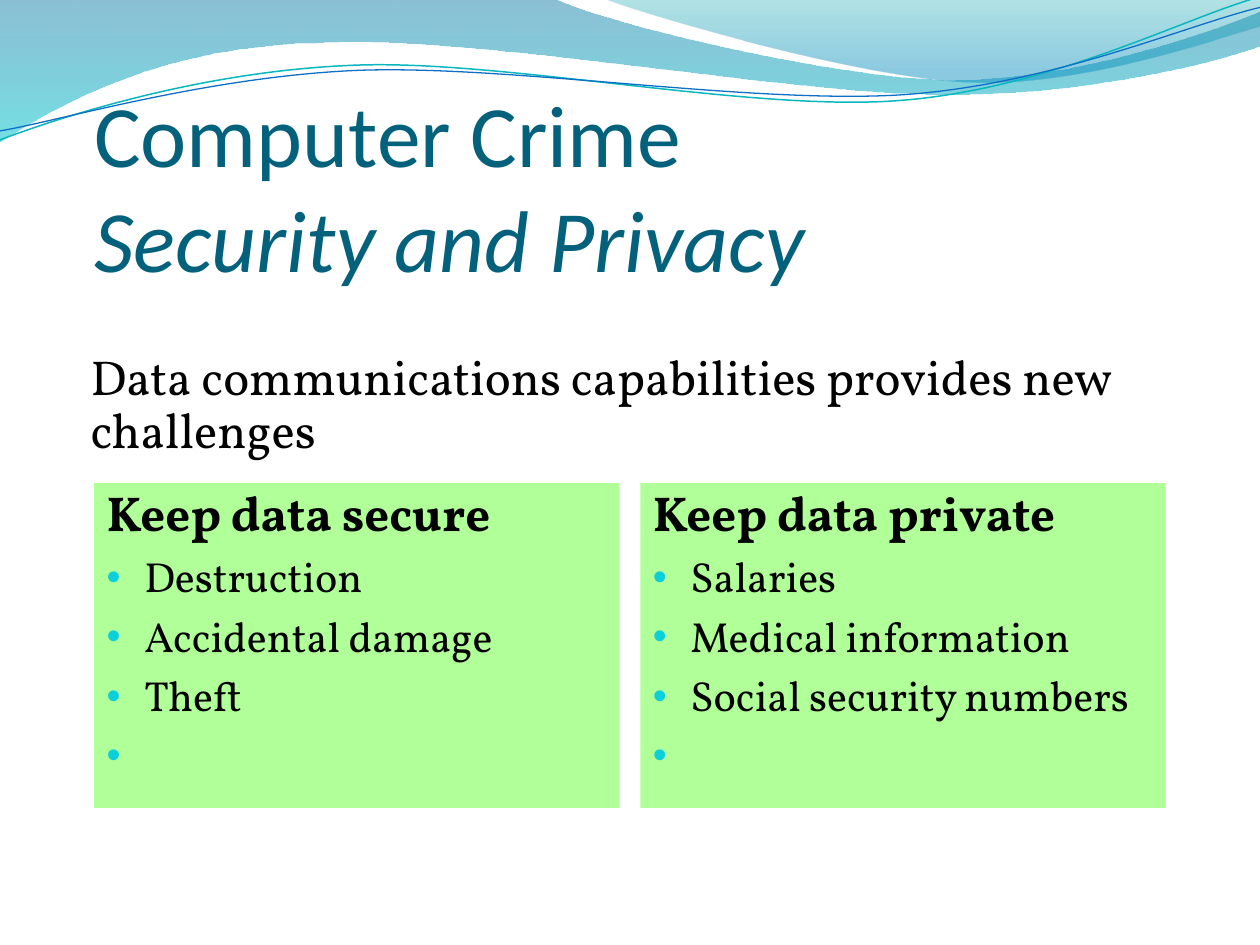
from lxml.etree import SubElement as Sub
from pptx import Presentation
from pptx.dml.color import RGBColor
from pptx.enum.shapes import MSO_SHAPE as Kind
from pptx.enum.text import MSO_ANCHOR as Anchor, PP_ALIGN as Align
from pptx.oxml.ns import qn
from pptx.util import Cm, Pt

TITLE = ["Computer Crime", "Security and Privacy"]
LEAD = "Data communications capabilities provides new challenges"
CARDS = [
    ("Keep data secure", ["Destruction", "Accidental damage", "Theft", " "]),
    ("Keep data private",
     ["Salaries", "Medical information", "Social security numbers", " "]),
]

# Outlines in cm: a single point is a straight step, three points are a curve.
WAVES = [
    ([(0, 0)],
     [[(11.18, -0.03)],
      [(12.09, 0.43), (16.87, 1.6), (19.25, 1.6)],
      [(21.67, 1.6), (24.33, 0.66), (25.4, 0.23)],
      [(25.43, 0.91)],
      [(24.97, 1.12), (22.1, 1.93), (18.95, 1.9)],
      [(15.8, 1.9), (9.7, 0.71), (6.53, 0.86)],
      [(3.28, 0.89), (1.17, 2.11), (-0.03, 2.87)]],
     [(0, "0074A1", 45), (1, "00C6CF", 55)]),
    ([(12.17, -0.03)],
     [[(12.93, 0.28), (17.32, 1.57), (19.53, 1.65)],
      [(21.74, 1.75), (24.41, 0.81), (25.4, 0.53)],
      [(25.4, 0)]],
     [(0, "00A1A9", 30), (0.8, "008BBF", 45)]),
]
LINES = [
    ([(0, 2.82)],
     [[(1.22, 2.36), (4.01, 1.45), (7.04, 1.32)],
      [(10.03, 1.17), (15.06, 2.26), (18.11, 2.03)],
      [(21.16, 1.8), (23.83, 0.38), (25.35, -0.05)]],
     "09B7BF", 0.85),
    ([(0, 2.64)],
     [[(1.19, 2.44), (4.17, 1.55), (7.19, 1.42)],
      [(10.24, 1.3), (15.16, 2.11), (18.21, 1.91)],
      [(21.23, 1.7), (23.9, 0.51), (25.4, 0.15)]],
     "0F6FC6", 0.75),
]

HEAD = {"name": "Calibri", "size": Pt(50)}
BODY = {"name": "Vollkorn", "size": Pt(28)}
ITEM = {"name": "Vollkorn", "size": Pt(24)}
LEFT, WIDE, GAP = 1.9, 21.6, 0.42
CARD_TOP, CARD_TALL = 9.74, 6.55


def rgb(code):
    return RGBColor.from_string(code)


def fade(shape, alphas):
    """Give each solid or gradient colour of the fill its opacity in percent."""
    for tint, alpha in zip(shape._element.spPr.iter(qn("a:srgbClr")), alphas):
        Sub(tint, qn("a:alpha"), val=str(alpha * 1000))


def draw(shapes, start, steps, close):
    """Draw an outline of straight steps and Bezier curves."""
    (x, y), = start
    pen = shapes.build_freeform(Cm(x), Cm(y))
    pen.add_line_segments(
        [(Cm(x), Cm(y)) for step in steps for x, y in step], close=close)
    shape = pen.convert_to_shape()
    shape.shadow.inherit = False
    legs = iter(list(shape._element.iter(qn("a:lnTo"))))
    for step in steps:
        group = [next(legs) for _ in step]
        if len(group) == 3:
            curve = group[0].makeelement(qn("a:cubicBezTo"))
            group[0].addprevious(curve)
            for leg in group:
                curve.append(leg[0])
                leg.getparent().remove(leg)
    return shape


def style(run, look, color, **more):
    for key, value in {**look, **more}.items():
        setattr(run.font, key, value)
    run.font.color.rgb = rgb(color)


def frame(shape, pads, anchor=Anchor.TOP):
    text = shape.text_frame
    sides = ("left", "top", "right", "bottom")
    for side, pad in zip(sides, pads):
        setattr(text, f"margin_{side}", Cm(pad))
    text.word_wrap = True
    text.vertical_anchor = anchor
    return text


def write(para, words, look, **more):
    para.alignment = Align.LEFT
    para.line_spacing = 0.9
    run = para.add_run()
    run.text = words
    style(run, look, "000000", **more)


def indent(para):
    props = para._p.get_or_add_pPr()
    props.set("marL", str(Cm(0.76)))
    props.set("indent", str(-Cm(0.76)))
    return props


def bullet(para):
    props = indent(para)
    Sub(Sub(props, qn("a:buClr")), qn("a:srgbClr"), val="0BD0D9")
    Sub(props, qn("a:buSzPct"), val="95000")
    Sub(props, qn("a:buFont"), typeface="Arial")
    Sub(props, qn("a:buChar"), char="•")


def main():
    deck = Presentation()
    deck.slide_width, deck.slide_height = Cm(25.4), Cm(19.05)
    shapes = deck.slides.add_slide(deck.slide_layouts[6]).shapes

    for start, steps, stops in WAVES:
        wave = draw(shapes, start, steps, True)
        wave.line.fill.background()
        wave.fill.gradient()
        wave.fill.gradient_angle = 270
        for stop, (place, color, _) in zip(wave.fill.gradient_stops, stops):
            stop.position = place
            stop.color.rgb = rgb(color)
        fade(wave, [alpha for _, _, alpha in stops])

    for start, steps, color, width in LINES:
        line = draw(shapes, start, steps, False)
        line.fill.background()
        line.line.color.rgb = rgb(color)
        line.line.width = Pt(width)

    box = shapes.add_textbox(Cm(LEFT), Cm(1.27), Cm(WIDE), Cm(4.57))
    para = frame(box, (0, 0.13, 0, 0), Anchor.BOTTOM).paragraphs[0]
    for row, words in enumerate(TITLE):
        if row:
            para.add_line_break()
        run = para.add_run()
        run.text = words
        style(run, HEAD, "04617B", italic=row > 0)

    width = (WIDE - GAP) / len(CARDS)
    for col, (title, items) in enumerate(CARDS):
        card = shapes.add_shape(
            Kind.RECTANGLE, Cm(LEFT + col * (width + GAP)), Cm(CARD_TOP),
            Cm(width), Cm(CARD_TALL))
        card.shadow.inherit = False
        card.line.fill.background()
        card.fill.solid()
        card.fill.fore_color.rgb = rgb("64FF33")
        fade(card, [50])
        text = frame(card, (0.25, 0.13, 0.25, 0.13))
        indent(text.paragraphs[0])
        write(text.paragraphs[0], title, BODY, bold=True)
        for item in items:
            para = text.add_paragraph()
            bullet(para)
            para.space_before = Pt(8)
            write(para, item, ITEM)

    box = shapes.add_textbox(Cm(1.7), Cm(6.99), Cm(21.8), Cm(2.39))
    write(frame(box, [0.13] * 4).paragraphs[0], LEAD, BODY)

    deck.save("out.pptx")


if __name__ == "__main__":
    main()
